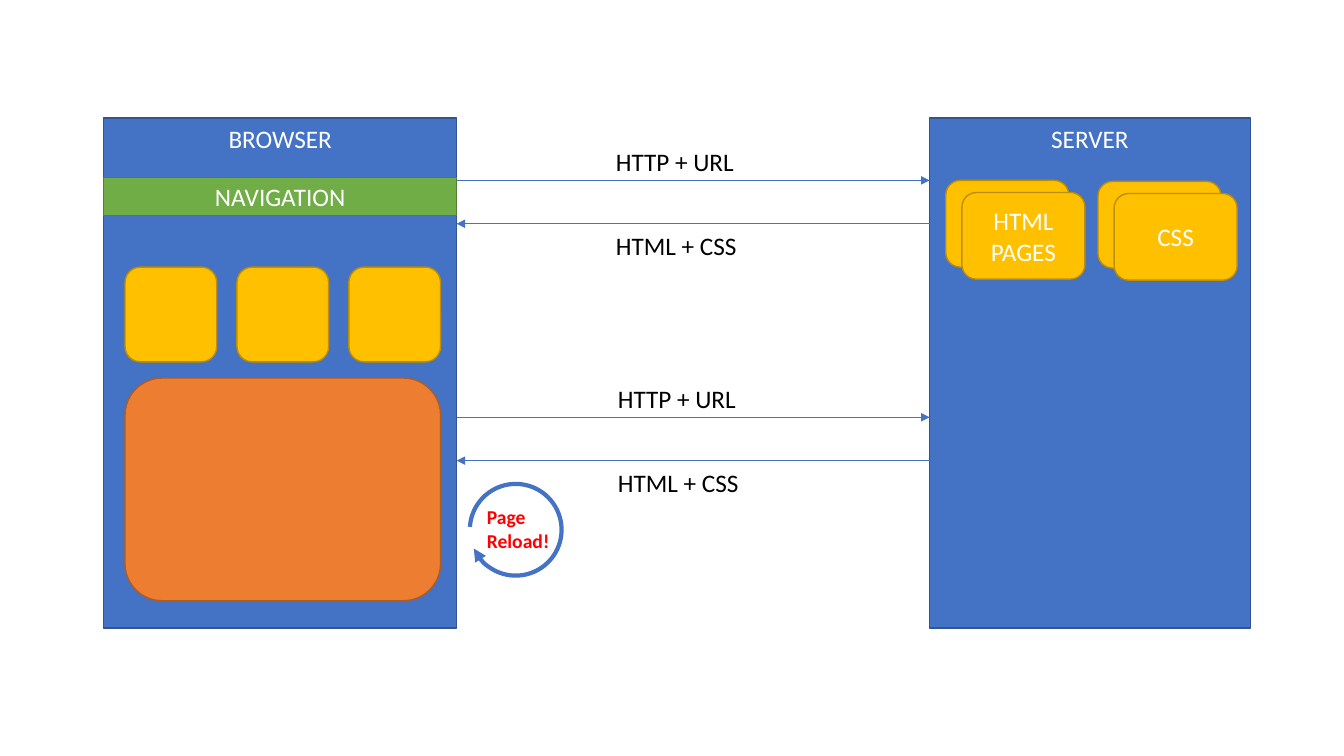
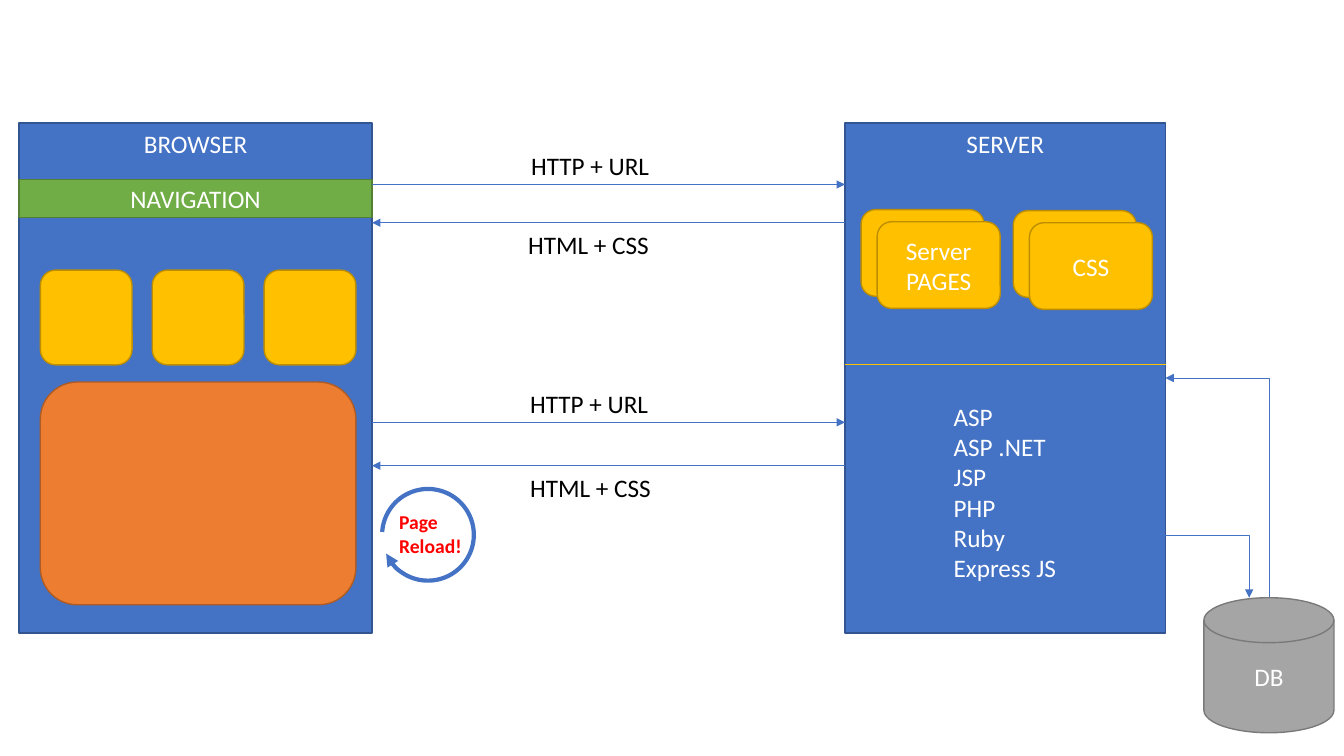
"""Build two slides that show a multi-page web application's round trips."""
from dataclasses import dataclass

from lxml import etree
from pptx import Presentation
from pptx.dml.color import RGBColor
from pptx.enum.shapes import MSO_CONNECTOR as Connector, MSO_SHAPE as Shape
from pptx.enum.text import MSO_ANCHOR as Anchor, PP_ALIGN as Align
from pptx.oxml.ns import qn
from pptx.util import Inches, Pt


@dataclass(frozen=True)
class Theme:
    font: str = "Calibri"
    body_size: int = 18
    small_size: int = 14
    hairline: float = 0.5
    outline: float = 1
    thick: float = 3
    white: str = "FFFFFF"
    black: str = "000000"
    red: str = "FF0000"
    blue: tuple = ("4472C4", "325491")
    green: tuple = ("70AD47", "538035")
    gold: tuple = ("FFC000", "BD8E00")
    orange: tuple = ("ED7D31", "AF5C24")
    gray: tuple = ("A5A5A5", "7A7A7A")


THEME = Theme()
SLIDE_SIZE = (13.33, 7.5)
PANEL_HEIGHT = 5.06
BROWSER_WIDTH = 3.5
SERVER_OFFSET = 8.19
SERVER_WIDTH = 3.18
REQUEST, RESPONSE = "HTTP + URL", "HTML + CSS"

STATIC_SITE = {
    "origin": (1.03, 1.17),
    "navigation_top": 0.59,
    "tiles_top": 1.48,
    "content_top": 2.58,
    "reload": (3.63, 3.63),
    "exchanges": [(REQUEST, 0.62, 4.98), (RESPONSE, 1.05, 4.98),
                  (REQUEST, 2.97, 5.0), (RESPONSE, 3.4, 5.0)],
    "cards_top": 0.62,
    "cards": ["HTML PAGES", "CSS"],
}
DYNAMIC_SITE = {
    "origin": (0.19, 1.22),
    "navigation_top": 0.56,
    "tiles_top": 1.46,
    "content_top": 2.57,
    "reload": (3.6, 3.63),
    "exchanges": [(REQUEST, 0.61, 4.98), (RESPONSE, 0.99, 4.95),
                  (REQUEST, 2.97, 4.97), (RESPONSE, 3.4, 4.97)],
    "cards_top": 0.86,
    "cards": ["Server PAGES", "CSS"],
}
SERVER_LANGUAGES = ["ASP", "ASP .NET", "JSP", "PHP", "Ruby", "Express JS"]


def write_text(shape, lines, size=THEME.body_size, color=THEME.white, bold=False,
               align=Align.LEFT, anchor=Anchor.TOP, wrap=True):
    frame = shape.text_frame
    frame.word_wrap = wrap
    frame.vertical_anchor = anchor
    for index, line in enumerate(lines):
        paragraph = frame.add_paragraph() if index else frame.paragraphs[0]
        paragraph.alignment = align
        run = paragraph.add_run()
        run.text = line
        run.font.name = THEME.font
        run.font.size = Pt(size)
        run.font.bold = bold
        run.font.color.rgb = RGBColor.from_string(color)


def set_line(line, color, width):
    line.color.rgb = RGBColor.from_string(color)
    line.width = Pt(width)


def add_arrowhead(item, end="tailEnd"):
    line = item.line._get_or_add_ln()
    etree.SubElement(line, qn(f"a:{end}"), type="triangle")


def add_box(slide, kind, left, top, width, height, colors, text="", anchor=Anchor.MIDDLE):
    box = slide.shapes.add_shape(kind, *map(Inches, (left, top, width, height)))
    box.shadow.inherit = False
    fill, outline = colors
    box.fill.solid()
    box.fill.fore_color.rgb = RGBColor.from_string(fill)
    set_line(box.line, outline, THEME.outline)
    if text:
        write_text(box, [text], align=Align.CENTER, anchor=anchor)
    return box


def add_label(slide, left, top, width, height, lines, **style):
    label = slide.shapes.add_textbox(*map(Inches, (left, top, width, height)))
    write_text(label, lines, wrap=False, **style)


def add_line(slide, start, end, color=THEME.blue[0], arrow="tailEnd", bent=False):
    kind = Connector.ELBOW if bent else Connector.STRAIGHT
    line = slide.shapes.add_connector(kind, *map(Inches, (*start, *end)))
    set_line(line.line, color, THEME.hairline)
    properties = line._element.spPr
    if bent:
        properties.find(qn("a:prstGeom")).set("prst", "bentConnector2")
    if arrow:
        add_arrowhead(line, arrow)
    etree.SubElement(properties, qn("a:effectLst"))


def add_server(slide, left, top, site):
    add_box(slide, Shape.RECTANGLE, left, top, SERVER_WIDTH, PANEL_HEIGHT,
            THEME.blue, "SERVER", Anchor.TOP)
    for index, text in enumerate(site["cards"]):
        card_left = left + 0.16 + 1.51 * index
        card_top = top + site["cards_top"] + 0.01 * index
        for shift_x, shift_y, caption in [(0, 0, ""), (0.16, 0.12, text)]:
            add_box(slide, Shape.ROUNDED_RECTANGLE, card_left + shift_x,
                    card_top + shift_y, 1.22, 0.86, THEME.gold, caption)


def add_browser(slide, left, top, site):
    add_box(slide, Shape.RECTANGLE, left, top, BROWSER_WIDTH, PANEL_HEIGHT,
            THEME.blue, "BROWSER", Anchor.TOP)
    add_box(slide, Shape.RECTANGLE, left, top + site["navigation_top"],
            BROWSER_WIDTH, 0.38, THEME.green, "NAVIGATION")
    for index in range(3):
        add_box(slide, Shape.ROUNDED_RECTANGLE, left + 0.21 + 1.11 * index,
                top + site["tiles_top"], 0.91, 0.94, THEME.gold)
    add_box(slide, Shape.ROUNDED_RECTANGLE, left + 0.21, top + site["content_top"],
            3.13, 2.21, THEME.orange)


def add_exchanges(slide, left, top, exchanges):
    for text, offset, label_offset in exchanges:
        level = top + offset
        browser_end = (left + BROWSER_WIDTH, level)
        server_end = (left + SERVER_OFFSET, level)
        if text == REQUEST:
            add_line(slide, browser_end, server_end)
            label_top = level - 0.39
        else:
            add_line(slide, server_end, browser_end)
            label_top = level + 0.02
        add_label(slide, left + label_offset, label_top, 1.4, 0.4, [text],
                  color=THEME.black)


def add_reload(slide, left, top):
    loop = slide.shapes.add_shape(Shape.ARC, *map(Inches, (left, top, 0.91, 0.91)))
    loop.shadow.inherit = False
    loop.fill.background()
    loop.rotation = 273.6
    loop.adjustments[0] = 162
    loop.adjustments[1] = 145.33
    set_line(loop.line, THEME.blue[0], THEME.thick)
    add_arrowhead(loop)
    add_label(slide, left + 0.07, top + 0.16, 0.83, 0.57, ["Page", "Reload!"],
              size=THEME.small_size, color=THEME.red, bold=True)


def add_site_slide(presentation, site):
    slide = presentation.slides.add_slide(presentation.slide_layouts[6])
    left, top = site["origin"]
    add_server(slide, left + SERVER_OFFSET, top, site)
    add_browser(slide, left, top, site)
    add_exchanges(slide, left, top, site["exchanges"])
    reload_left, reload_top = site["reload"]
    add_reload(slide, left + reload_left, top + reload_top)
    return slide


def add_backend(slide, site):
    server_left = site["origin"][0] + SERVER_OFFSET
    server_right = server_left + SERVER_WIDTH
    disk_top = 5.93
    add_line(slide, (server_left, 3.61), (server_right, 3.61),
             color=THEME.gold[0], arrow=None)
    add_label(slide, 9.36, 3.93, 1.23, 1.92, SERVER_LANGUAGES)
    add_line(slide, (server_right, 5.31), (12.39, disk_top), bent=True)
    add_line(slide, (server_right, 3.75), (12.59, disk_top), arrow="headEnd", bent=True)
    add_box(slide, Shape.FLOWCHART_MAGNETIC_DISK, 11.94, disk_top, 1.29, 1.34,
            THEME.gray, "DB")


def main():
    presentation = Presentation()
    presentation.slide_width, presentation.slide_height = map(Inches, SLIDE_SIZE)
    add_site_slide(presentation, STATIC_SITE)
    add_backend(add_site_slide(presentation, DYNAMIC_SITE), DYNAMIC_SITE)
    presentation.save("out.pptx")


main()
